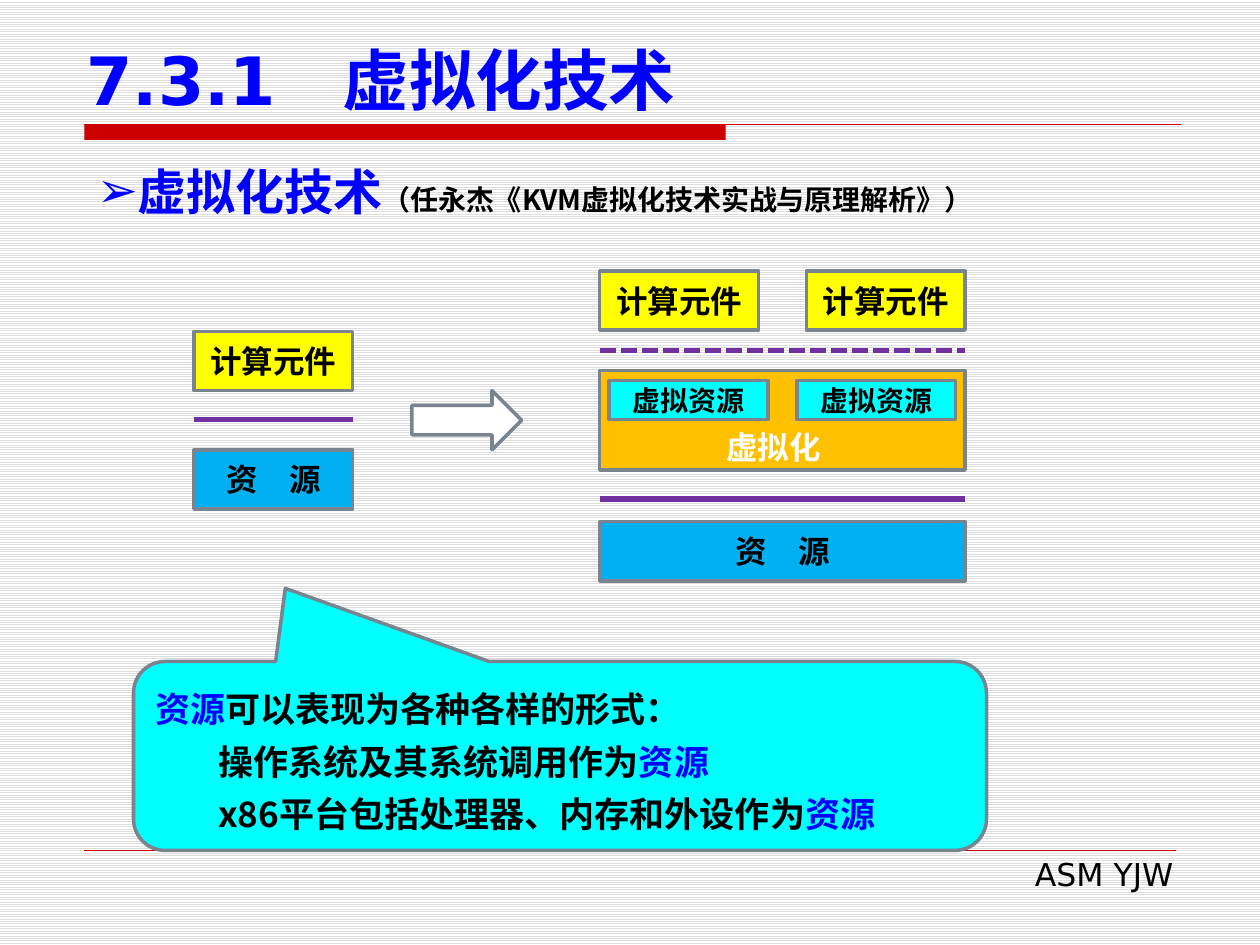
from lxml import etree
from pptx import Presentation
from pptx.dml.color import RGBColor
from pptx.enum.dml import MSO_LINE, MSO_PATTERN
from pptx.enum.shapes import MSO_CONNECTOR, MSO_SHAPE
from pptx.enum.text import MSO_ANCHOR, PP_ALIGN
from pptx.oxml.ns import qn
from pptx.util import Inches, Pt

RECT, ARROW = MSO_SHAPE.RECTANGLE, MSO_SHAPE.RIGHT_ARROW
BUBBLE = MSO_SHAPE.ROUNDED_RECTANGULAR_CALLOUT
STRAIGHT, DASH = MSO_CONNECTOR.STRAIGHT, MSO_LINE.SQUARE_DOT
STRIPES = MSO_PATTERN.LIGHT_HORIZONTAL
TOP, MIDDLE, BOTTOM = MSO_ANCHOR.TOP, MSO_ANCHOR.MIDDLE, MSO_ANCHOR.BOTTOM
LEFT, CENTER, RIGHT = PP_ALIGN.LEFT, PP_ALIGN.CENTER, PP_ALIGN.RIGHT

COLS, ROWS = 100, 75
BLACK, WHITE, BLUE, RED = "000000", "FFFFFF", "0000FF", "CC0000"
YELLOW, ORANGE, AQUA, SKY = "FFFF00", "FFC000", "00FFFF", "00B0F0"
PURPLE, GRAY = "7030A0", "79848F"
SANS, HAN = "DejaVu Sans", "Noto Sans CJK SC"


def color(code):
    return RGBColor.from_string(code)


class Board:
    def __init__(self, deck):
        self.slide = deck.slides.add_slide(deck.slide_layouts[6])
        self.shapes = self.slide.shapes
        self.col = deck.slide_width / COLS
        self.row = deck.slide_height / ROWS

    def place(self, x, y, w, h):
        """Turn grid columns and rows into slide lengths."""
        return (round(x * self.col), round(y * self.row),
                round(w * self.col), round(h * self.row))

    def back(self, front, base):
        fill = self.slide.background.fill
        fill.patterned()
        fill.pattern = STRIPES
        fill.fore_color.rgb = color(front)
        fill.back_color.rgb = color(base)

    def words(self, para, runs, align):
        """Fill a paragraph from (text, size, colour, font, bold) tuples."""
        para.alignment = align
        for text, size, tint, face, bold in runs:
            run = para.add_run()
            run.text = text
            font = run.font
            font.size, font.name, font.bold = Pt(size), face, bold
            font.color.rgb = color(tint)
            props = run._r.get_or_add_rPr()
            etree.SubElement(props, qn("a:ea"), typeface=HAN)

    def shape(self, kind, area, fill, edge=GRAY):
        item = self.shapes.add_shape(kind, *self.place(*area))
        item.shadow.inherit = False
        item.fill.solid()
        item.fill.fore_color.rgb = color(fill)
        if edge:
            item.line.color.rgb = color(edge)
            item.line.width = Pt(2)
        else:
            item.line.fill.background()
        return item

    def box(self, area, fill, text, size=18):
        frame = self.shape(RECT, area, fill).text_frame
        frame.vertical_anchor = MIDDLE
        frame.word_wrap = True
        self.words(frame.paragraphs[0], [(text, size, BLACK, SANS, True)], CENTER)

    def text(self, area, runs, align=LEFT, anchor=TOP, mark=None):
        frame = self.shapes.add_textbox(*self.place(*area)).text_frame
        frame.word_wrap = True
        frame.vertical_anchor = anchor
        para = frame.paragraphs[0]
        if mark:
            props = para._p.get_or_add_pPr()
            props.set("marL", str(Inches(0.32)))
            props.set("indent", str(-Inches(0.32)))
            etree.SubElement(props, qn("a:buFont"), typeface=SANS)
            etree.SubElement(props, qn("a:buChar"), char=mark)
        self.words(para, runs, align)

    def rule(self, x, y, w, tint, width, dash=None):
        left, top, wide, _ = self.place(x, y, w, 0)
        line = self.shapes.add_connector(STRAIGHT, left, top, left + wide, top)
        line.line.color.rgb = color(tint)
        line.line.width = Pt(width)
        if dash:
            line.line.dash_style = dash
        etree.SubElement(line._element.spPr, qn("a:effectLst"))

    def bubble(self, area, fill, tip, lines):
        """Draw a callout whose lines after the first are indented."""
        item = self.shape(BUBBLE, area, fill)
        for index, value in enumerate(tip):
            item.adjustments[index] = value
        frame = item.text_frame
        frame.word_wrap = True
        frame.vertical_anchor = MIDDLE
        for index, parts in enumerate(lines):
            para = frame.add_paragraph() if index else frame.paragraphs[0]
            para.line_spacing = Pt(30)
            if index:
                para.level = 1
                props = para._p.get_or_add_pPr()
                props.set("marL", str(Inches(0.5)))
                props.set("indent", "0")
            runs = [(text, 20, tint, HAN, True) for text, tint in parts]
            self.words(para, runs, LEFT)


def main():
    deck = Presentation()
    deck.slide_width, deck.slide_height = Inches(10), Inches(7.5)
    board = Board(deck)
    board.back("DDDDDD", WHITE)

    # Frame and headings
    board.shape(RECT, (6.7, 9.9, 50.9, 1.2), RED, None)
    board.rule(6.7, 9.9, 87, RED, 0.75)
    board.rule(6.7, 67.5, 86.6, RED, 0.25)
    board.text((38.2, 67.4, 55.9, 4), [("ASM YJW", 18, BLACK, SANS, False)], RIGHT)
    board.text((5.9, 2.8, 90.6, 7.1),
               [("7.3.1　虚拟化技术", 38, BLUE, SANS, True)], anchor=BOTTOM)
    board.text((6.7, 12.3, 86.6, 5.7),
               [("虚拟化技术", 28, BLUE, SANS, True),
                ("（任永杰《KVM虚拟化技术实战与原理解析》）", 16, BLACK, HAN, True)],
               mark="➢")

    # Direct use of resources
    wide, high = 12.6, 4.7
    near, far = 15.4, 47.6
    board.shape(ARROW, (32.7, 31, 8.7, high), WHITE)
    board.box((near, 26.3, wide, high), YELLOW, "计算元件")
    board.box((near, 35.7, wide, high), SKY, "资　源")
    board.rule(near, 33.3, wide, PURPLE, 3)

    # Virtualized resources
    span = 29
    board.box((far, 41.4, span, high), SKY, "资　源")
    board.rule(far, 39.6, span, PURPLE, 3)
    board.shape(RECT, (far, 29.4, span, 7.9), ORANGE)
    board.rule(far, 27.8, span, PURPLE, 3, DASH)
    for x in (far, far + span - wide):
        board.box((x, 21.5, wide, high), YELLOW, "计算元件")
    pad = 0.75
    for x in (far + pad, far + span - pad - wide):
        board.box((x, 30.2, wide, 3.1), AQUA, "虚拟资源", 16)
    board.text((55.5, 33.5, 11.8, 4), [("虚拟化", 18, WHITE, SANS, True)], CENTER)

    word = ("资源", BLUE)
    board.bubble((10.6, 52.5, 67.7, 15), AQUA, (-0.322, -0.887, 0.167), [
        [word, ("可以表现为各种各样的形式：", BLACK)],
        [("操作系统及其系统调用作为", BLACK), word],
        [("x86平台包括处理器、内存和外设作为", BLACK), word],
    ])
    deck.save("out.pptx")


if __name__ == "__main__":
    main()
